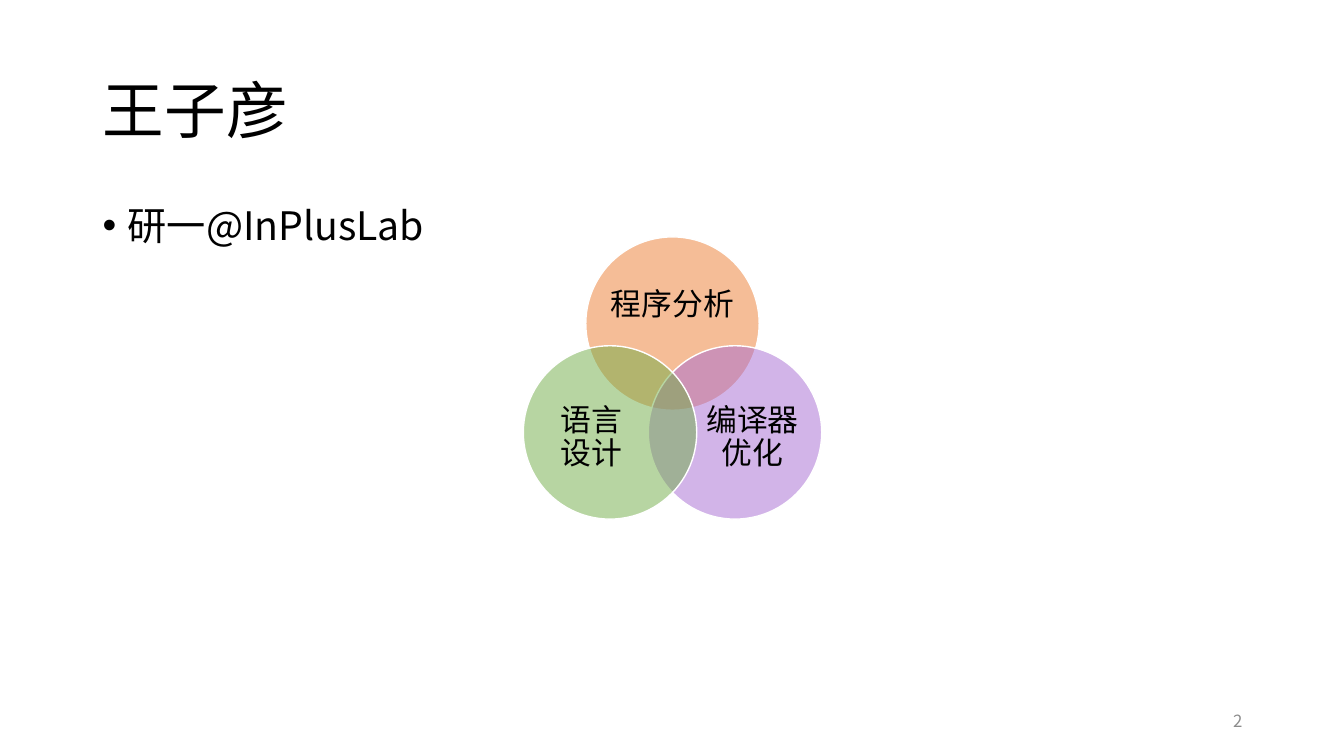
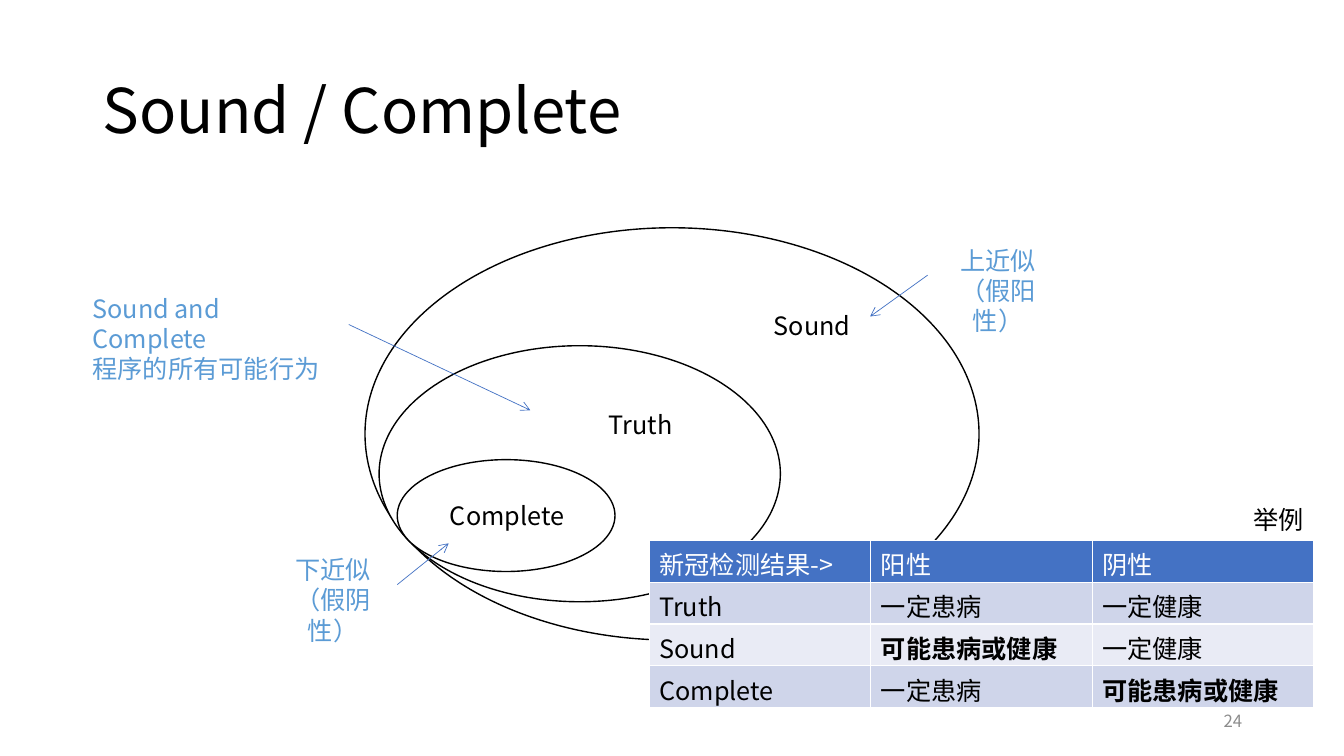
import pptx
import pptx.util
from lxml import etree
from pptx.dml.color import RGBColor
from pptx.enum.shapes import MSO_CONNECTOR, MSO_SHAPE
from pptx.enum.text import MSO_ANCHOR, PP_ALIGN
from pptx.oxml.ns import qn
from pptx.util import Inches, Pt


class Theme:
    font = "Noto Sans CJK SC"
    black, white, grey = "000000", "FFFFFF", "8C8C8C"
    orange, purple, green = "ED7D31", "A66BD3", "70AD47"
    blue, note = "4472C4", "5B9BD5"
    bands = ("CFD5EA", "E9EBF5")
    title, body, venn, label, footer = 44, 28, 22, 18, 12


def rgb(value):
    return RGBColor.from_string(value)


class Deck:
    def __init__(self):
        self.prs = pptx.Presentation()
        self.prs.slide_width = Inches(13.33)
        self.prs.slide_height = Inches(7.5)
        self.s = None

    def slide(self, title):
        self.s = self.prs.slides.add_slide(self.prs.slide_layouts[5])
        sp = self.s.shapes.title
        place = dict(left=0.92, top=0.4, width=11.5, height=1.45)
        for name, value in place.items():
            setattr(sp, name, Inches(value))
        self.set_text(sp.text_frame, [title], Theme.title, anchor=MSO_ANCHOR.MIDDLE, spacing=0.9)

    def set_text(self, tf, lines, size=Theme.label, color=Theme.black, align=PP_ALIGN.LEFT,
                 anchor=MSO_ANCHOR.TOP, spacing=1.0, bold=False, inset=None):
        """Fill a text frame with one paragraph per line."""
        frame = dict(word_wrap=True, vertical_anchor=anchor)
        if inset is not None:
            sides = ("left", "top", "right", "bottom")
            frame.update({f"margin_{side}": Inches(inset) for side in sides})
        for name, value in frame.items():
            setattr(tf, name, value)
        for i, line in enumerate(lines):
            p = tf.add_paragraph() if i else tf.paragraphs[0]
            p.text, p.alignment, p.line_spacing = line, align, spacing
            for r in p.runs:
                for name, value in dict(name=Theme.font, size=Pt(size), bold=bold).items():
                    setattr(r.font, name, value)
                r.font.color.rgb = rgb(color)
                ea = etree.SubElement(r._r.get_or_add_rPr(), qn("a:ea"))
                ea.set("typeface", Theme.font)

    def text(self, at, *lines, **style):
        sp = self.s.shapes.add_textbox(*map(Inches, at))
        self.set_text(sp.text_frame, lines, **style)
        return sp

    def bullet(self, at, line):
        sp = self.text(at, line, size=Theme.body, spacing=0.9)
        pPr = sp.text_frame.paragraphs[0]._p.get_or_add_pPr()
        pPr.set("marL", str(Inches(0.25)))
        pPr.set("indent", str(Inches(-0.25)))
        for tag, name, value in (("a:buFont", "typeface", "Arial"), ("a:buChar", "char", "•")):
            etree.SubElement(pPr, qn(tag)).set(name, value)

    def ellipse(self, at, fill=Theme.white, line=Theme.black, opacity=100):
        sp = self.s.shapes.add_shape(MSO_SHAPE.OVAL, *map(Inches, at))
        sp.shadow.inherit = False
        sp.fill.solid()
        sp.fill.fore_color.rgb = rgb(fill)
        sp.line.color.rgb = rgb(line)
        sp.line.width = Pt(1)
        if opacity < 100:
            clr = sp._element.spPr.find(qn("a:solidFill"))[0]
            etree.SubElement(clr, qn("a:alpha")).set("val", str(opacity * 1000))

    def arrow(self, start, end):
        cx = self.s.shapes.add_connector(MSO_CONNECTOR.STRAIGHT, *map(Inches, start + end))
        cx.line.color.rgb = rgb(Theme.blue)
        cx.line.width = Pt(0.5)
        spPr = cx._element.spPr
        etree.SubElement(spPr.find(qn("a:ln")), qn("a:tailEnd")).set("type", "arrow")
        etree.SubElement(spPr, qn("a:effectLst"))

    def table(self, at, rows, bold=()):
        """Draw a banded table; bold lists (row, column) pairs."""
        shape = self.s.shapes.add_table(len(rows), len(rows[0]), *map(Inches, at))
        for i, row in enumerate(rows):
            fill = Theme.bands[(i - 1) % 2] if i else Theme.blue
            color = Theme.black if i else Theme.white
            for j, value in enumerate(row):
                cell = shape.table.cell(i, j)
                cell.fill.solid()
                cell.fill.fore_color.rgb = rgb(fill)
                self.set_text(cell.text_frame, [value], color=color, bold=(i, j) in bold)

    def page_number(self, number):
        self.text((9.42, 6.95, 3, 0.4), str(number), size=Theme.footer, color=Theme.grey,
                  align=PP_ALIGN.RIGHT, anchor=MSO_ANCHOR.MIDDLE)


def about_slide(deck):
    deck.slide("王子彦")
    deck.bullet((0.92, 2, 11.5, 4.76), "研一@InPlusLab")
    size = 1.72
    topics = [
        (5.81, 2.35, Theme.orange, "程序分析", (6.04, 2.65, 1.26, 0.77)),
        (6.43, 3.43, Theme.purple, "编译器优化", (6.95, 3.87, 1.03, 0.95)),
        (5.19, 3.43, Theme.green, "语言\v设计", (5.35, 3.87, 1.03, 0.95)),
    ]
    for left, top, color, topic, at in topics:
        deck.ellipse((left, top, size, size), color, Theme.white, opacity=50)
        deck.text(at, topic, size=Theme.venn, align=PP_ALIGN.CENTER,
                  anchor=MSO_ANCHOR.MIDDLE, spacing=0.9, inset=0)
    deck.page_number(2)


def soundness_slide(deck):
    deck.slide("Sound / Complete")
    for at in ((3.62, 2.26, 6.09, 4.09), (3.76, 3.43, 3.98, 2.54), (3.94, 4.56, 2.16, 1.11)):
        deck.ellipse(at)
    for left, top, width, name in ((4.31, 4.91, 1.44, "Complete"), (5.71, 4.01, 1.29, "Truth"),
                                   (7.41, 3.03, 1.29, "Sound")):
        deck.text((left, top, width, 0.4), name, align=PP_ALIGN.CENTER)

    notes = [
        (0.82, 2.86, 2.64, PP_ALIGN.LEFT, ("Sound and Complete", "程序的所有可能行为")),
        (9.2, 2.38, 1.4, PP_ALIGN.CENTER, ("上近似", "（假阳性）")),
        (2.67, 5.45, 1.27, PP_ALIGN.CENTER, ("下近似", "（假阴性）")),
    ]
    for left, top, width, align, lines in notes:
        deck.text((left, top, width, 0.71), *lines, color=Theme.note, align=align)
    for start, end in (((3.46, 3.22), (5.26, 4.07)), ((3.94, 5.8), (4.45, 5.39)),
                       ((9.2, 2.73), (8.63, 3.14))):
        deck.arrow(start, end)

    sick, healthy, either = "一定患病", "一定健康", "可能患病或健康"
    deck.table((6.44, 5.36, 6.59, 1.66), [
        ("新冠检测结果->", "阳性", "阴性"),
        ("Truth", sick, healthy),
        ("Sound", either, healthy),
        ("Complete", sick, either),
    ], bold={(2, 1), (3, 2)})
    deck.text((12.31, 4.95, 0.72, 0.4), "举例", align=PP_ALIGN.RIGHT)
    deck.page_number(24)


def main():
    deck = Deck()
    about_slide(deck)
    soundness_slide(deck)
    deck.prs.save("out.pptx")


if __name__ == "__main__":
    main()
